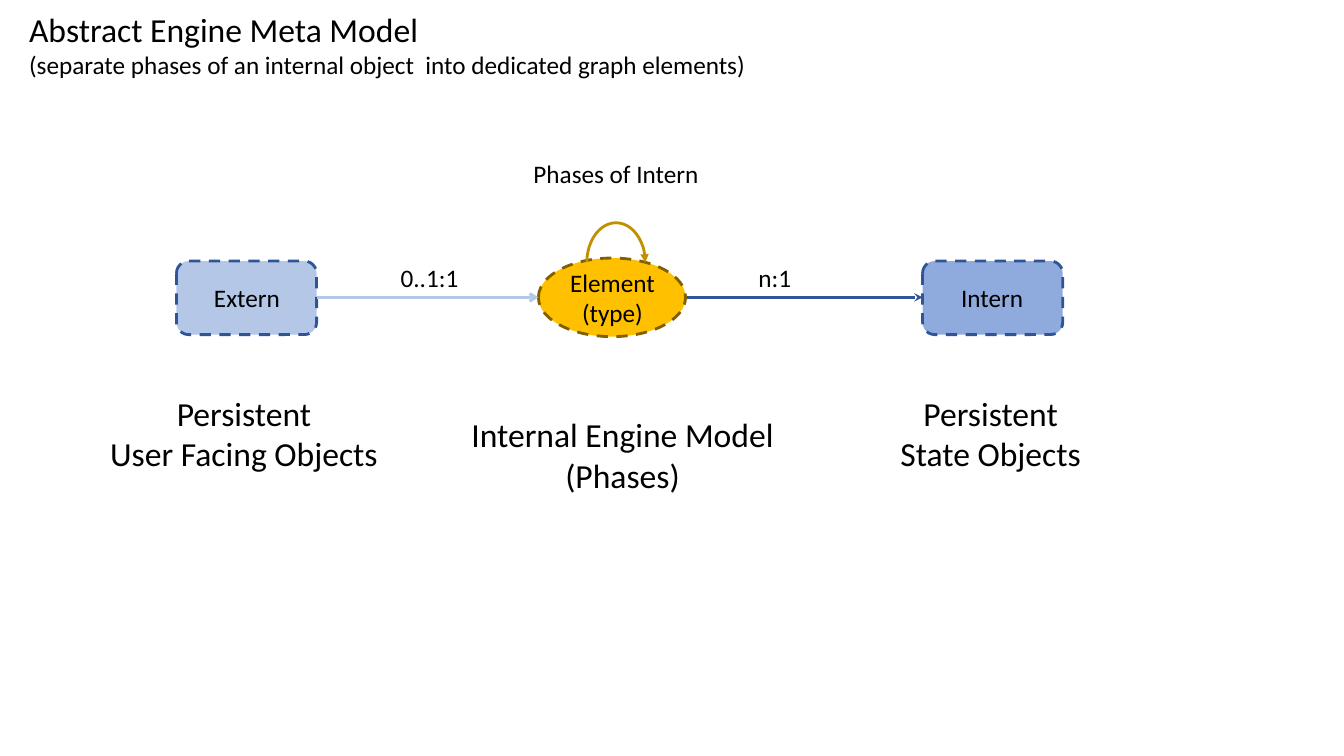
from dataclasses import dataclass

from lxml import etree
from pptx import Presentation
from pptx import util as u
from pptx.dml.color import RGBColor
from pptx.enum import dml, shapes, text
from pptx.oxml.ns import qn
from pptx.shapes.autoshape import Shape
from pptx.slide import Slide

BLACK = RGBColor(0x00, 0x00, 0x00)
PALE_BLUE = RGBColor(0xB4, 0xC7, 0xE7)
MID_BLUE = RGBColor(0x8F, 0xAA, 0xDC)
DARK_BLUE = RGBColor(0x2F, 0x55, 0x97)
GOLD = RGBColor(0xFF, 0xC0, 0x00)
DARK_GOLD = RGBColor(0xBF, 0x90, 0x00)
BROWN = RGBColor(0x80, 0x60, 0x00)

FONT = "Calibri"
LINE_WIDTH = u.Pt(2)
AXIS_Y = 2.95  # height of the two relations between the nodes
ROUNDED = shapes.MSO_SHAPE.ROUNDED_RECTANGLE
OVAL = shapes.MSO_SHAPE.OVAL
LEFT, CENTER = text.PP_ALIGN.LEFT, text.PP_ALIGN.CENTER


@dataclass
class Node:
    kind: shapes.MSO_SHAPE
    x: float
    y: float
    w: float
    h: float
    fill: RGBColor
    line: RGBColor


@dataclass
class Relation:
    start: float
    end: float
    color: RGBColor
    head: str


@dataclass
class Label:
    x: float
    y: float
    w: float
    h: float
    text: str
    sizes: tuple[int, ...] = (18,)  # the last size holds for all later lines
    align: text.PP_ALIGN = CENTER
    wrap: bool = False


NODES = [
    Node(ROUNDED, 1.75, 2.59, 1.39, 0.73, PALE_BLUE, DARK_BLUE),
    Node(OVAL, 5.34, 2.56, 1.46, 0.78, GOLD, BROWN),
    Node(ROUNDED, 9.15, 2.59, 1.39, 0.73, MID_BLUE, DARK_BLUE),
]

RELATIONS = [
    Relation(3.14, 5.34, PALE_BLUE, "arrow"),
    Relation(6.81, 9.15, DARK_BLUE, "stealth"),
]

LABELS = [
    # Title
    Label(0.19, 0.04, 7.34, 1.11, "Abstract Engine Meta Model\n"
          "(separate phases of an internal object  into dedicated graph elements)",
          (24, 18), LEFT),
    # Node names
    Label(2.02, 2.75, 0.86, 0.4, "Extern"),
    Label(5.55, 2.6, 1.05, 0.71, "Element\n(type)"),
    Label(9.43, 2.75, 0.82, 0.4, "Intern"),
    # Relations
    Label(5.18, 1.52, 1.86, 0.4, "Phases of Intern"),
    Label(3.59, 2.55, 1.34, 0.4, "0..1:1", wrap=True),
    Label(7.42, 2.55, 0.53, 0.4, "n:1", wrap=True),
    # Captions
    Label(0.98, 3.85, 2.88, 0.91, "Persistent\nUser Facing Objects", (24,)),
    Label(4.56, 4.06, 3.23, 0.91, "Internal Engine Model\n(Phases)", (24,)),
    Label(8.82, 3.85, 2.01, 0.91, "Persistent\nState Objects", (24,)),
]


def add_shape(s: Slide, kind: shapes.MSO_SHAPE, x: float, y: float,
              w: float, h: float, line: RGBColor) -> Shape:
    sp = s.shapes.add_shape(kind, u.Inches(x), u.Inches(y), u.Inches(w), u.Inches(h))
    sp.shadow.inherit = False
    sp.line.color.rgb = line
    sp.line.width = LINE_WIDTH
    return sp


def add_arrowhead(sp, head: str) -> None:
    etree.SubElement(sp.line._get_or_add_ln(), qn("a:tailEnd"), type=head)


def draw_node(s: Slide, node: Node) -> None:
    sp = add_shape(s, node.kind, node.x, node.y, node.w, node.h, node.line)
    sp.fill.solid()
    sp.fill.fore_color.rgb = node.fill
    sp.line.dash_style = dml.MSO_LINE.DASH


def draw_relation(s: Slide, rel: Relation) -> None:
    y = u.Inches(AXIS_Y)
    cx = s.shapes.add_connector(shapes.MSO_CONNECTOR.STRAIGHT,
                                u.Inches(rel.start), y, u.Inches(rel.end), y)
    cx.line.color.rgb = rel.color
    cx.line.width = LINE_WIDTH
    add_arrowhead(cx, rel.head)
    etree.SubElement(cx._element.spPr, qn("a:effectLst"))


def draw_phase_loop(s: Slide) -> None:
    sp = add_shape(s, shapes.MSO_SHAPE.ARC, 5.82, 2.21, 0.58, 0.79, DARK_GOLD)
    sp.fill.background()
    sp.adjustments[0] = 108.95  # just past the leftmost point
    sp.adjustments[1] = 0
    add_arrowhead(sp, "triangle")


def draw_label(s: Slide, label: Label) -> None:
    sp = s.shapes.add_textbox(u.Inches(label.x), u.Inches(label.y),
                              u.Inches(label.w), u.Inches(label.h))
    tf = sp.text_frame
    tf.text = label.text
    tf.word_wrap = label.wrap
    tf.auto_size = text.MSO_AUTO_SIZE.SHAPE_TO_FIT_TEXT
    for i, p in enumerate(tf.paragraphs):
        p.alignment = label.align
        for r in p.runs:
            r.font.name = FONT
            r.font.size = u.Pt(label.sizes[min(i, len(label.sizes) - 1)])
            r.font.color.rgb = BLACK


def main() -> None:
    prs = Presentation()
    prs.slide_width, prs.slide_height = u.Inches(13.33), u.Inches(7.5)
    s = prs.slides.add_slide(prs.slide_layouts[6])

    for node in NODES:
        draw_node(s, node)
    for rel in RELATIONS:
        draw_relation(s, rel)
    draw_phase_loop(s)
    for label in LABELS:
        draw_label(s, label)

    prs.save("out.pptx")


if __name__ == "__main__":
    main()
